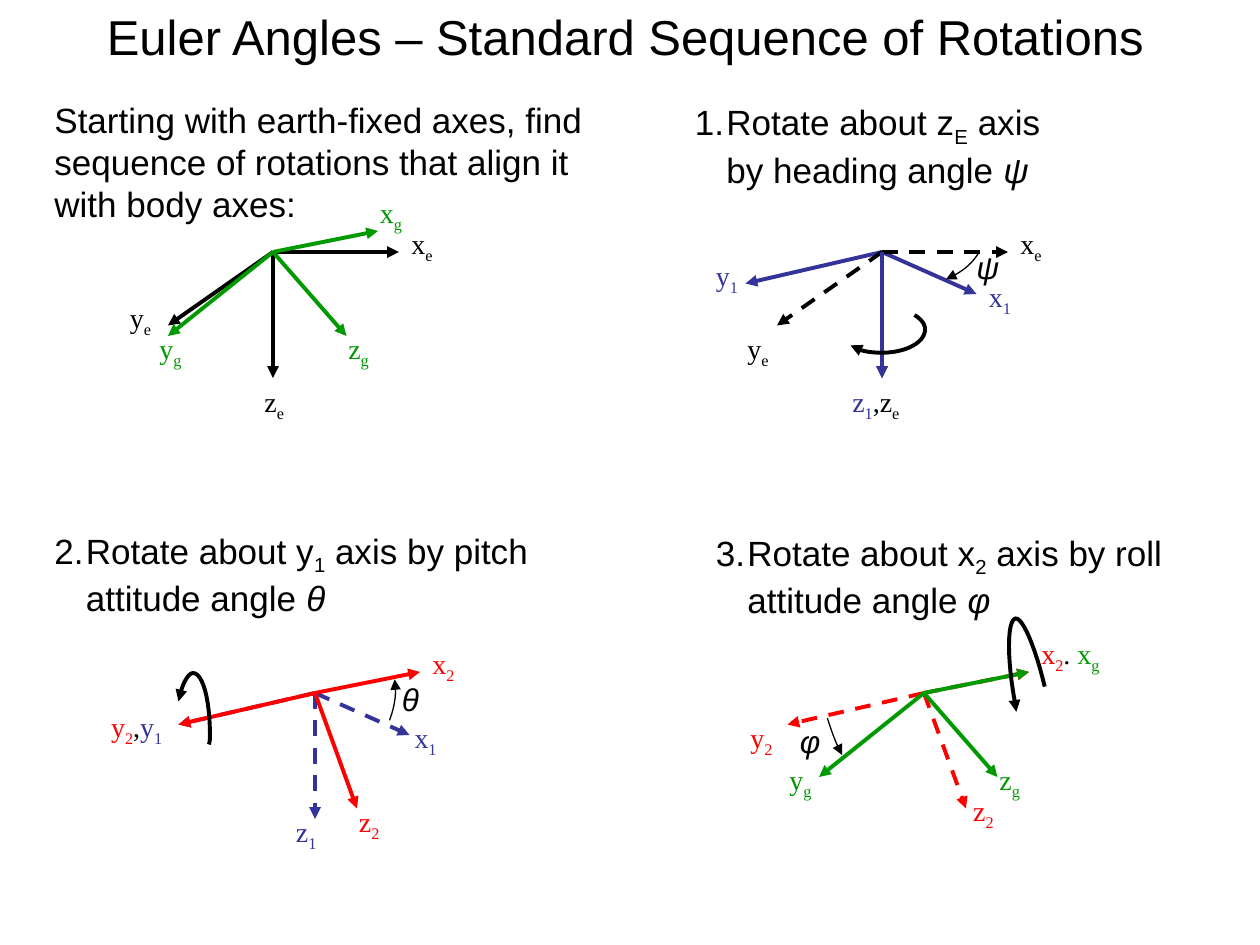
import pptx
import pptx.util
import pptx.dml.color
import pptx.enum.dml
import pptx.enum.text
import pptx.oxml.ns
import lxml.etree

COLS, ROWS = 120, 90
BLACK, BLUE, RED, GREEN = "000000", "333399", "FF0000", "009900"
SERIF, SANS = "Times New Roman", "Arial"
AXES = {
    "xe": (12, 0), "ye": (-10, 7), "ze": (0, 12),
    "x1": (9, 4), "y1": (-13, 3), "z1": (0, 12),
    "x2": (10, -2), "y2": (-13, 3), "z2": (4, 11),
    "xg": (10, -2), "yg": (-10, 8), "zg": (7, 8),
}
TINT = {"e": BLACK, "1": BLUE, "2": RED, "g": GREEN}

deck = pptx.Presentation()
deck.slide_width = pptx.util.Inches(10)
deck.slide_height = pptx.util.Inches(7.5)
slide = deck.slides.add_slide(deck.slide_layouts[6])


def across(cols):
    return round(deck.slide_width * cols / COLS)


def down(rows):
    return round(deck.slide_height * rows / ROWS)


def paint(target, code):
    target.rgb = pptx.dml.color.RGBColor.from_string(code)


def ink(shape, code, width, dash=False):
    line = shape.line
    line.fill.solid()
    paint(line.color, code)
    line.width = pptx.util.Pt(width)
    if dash:
        line.dash_style = pptx.enum.dml.MSO_LINE.DASH
    tag = pptx.oxml.ns.qn("a:tailEnd")
    lxml.etree.SubElement(line._get_or_add_ln(), tag, type="triangle")


def write(box, runs, size, font, wrap=False, hang=0):
    left, top, width, height = box
    shape = slide.shapes.add_textbox(across(left), down(top), across(width), down(height))
    frame = shape.text_frame
    frame.word_wrap = wrap
    frame.auto_size = pptx.enum.text.MSO_AUTO_SIZE.SHAPE_TO_FIT_TEXT
    para = frame.paragraphs[0]
    if hang:
        props = para._p.get_or_add_pPr()
        props.set("marL", str(across(hang)))
        props.set("indent", str(-across(hang)))
    for text, code, mode in runs:
        run = para.add_run()
        run.text = text
        run.font.size = pptx.util.Pt(size)
        run.font.name = font
        paint(run.font.color, code)
        if mode == "sub":
            run.font._element.set("baseline", "-25000")
        elif mode == "slant":
            run.font.italic = True


def axis(start, name, dash):
    x, y = start
    dx, dy = AXES[name]
    arrow = slide.shapes.add_connector(1, across(x), down(y), across(x + dx), down(y + dy))
    ink(arrow, TINT[name[1]], 2.25, dash)
    lxml.etree.SubElement(arrow._element.spPr, pptx.oxml.ns.qn("a:effectLst"))


def curve(start, knots, width, steps=12):
    dots = [knots[0]]
    for i in range(0, len(knots) - 1, 3):
        a, b, c, d = knots[i:i + 4]
        for k in range(1, steps + 1):
            t = k / steps
            u = 1 - t
            dots.append([u**3 * a[j] + 3 * u * u * t * b[j] + 3 * u * t * t * c[j] + t**3 * d[j]
                         for j in (0, 1)])
    spots = [(across(start[0] + x), down(start[1] + y)) for x, y in dots]
    maker = slide.shapes.build_freeform(*spots[0])
    maker.add_line_segments(spots[1:], close=False)
    shape = maker.convert_to_shape()
    shape.shadow.inherit = False
    shape.fill.background()
    ink(shape, BLACK, width)


def label(start, spot, names, gap="", width=4.6):
    runs = []
    for i, name in enumerate(names):
        code = TINT[name[1]]
        if i and gap:
            runs.append((gap[0], BLACK, ""))
        runs += [(gap[1:] * (i > 0) + name[0], code, ""), (name[1], code, "sub")]
    write((start[0] + spot[0], start[1] + spot[1], width, 4.4), runs, 16, SERIF)


def panel(start, head, text, axes, labels, angle=None, arcs=()):
    x, y = start
    dx, dy, width = head
    lead, *rest = text
    runs = [(lead, BLACK, "")]
    runs += [(part, BLACK, mode) for part, mode in zip(rest, ("sub", "", "slant"))]
    hang = 3 if rest else 0
    write((x + dx, y + dy, width, 9.2 if rest else 13.2), runs, 20, SANS, True, hang)
    for name, dash in axes:
        axis(start, name, dash)
    for item in labels:
        label(start, *item)
    for knots, weight in arcs:
        curve(start, knots, weight)
    if angle:
        sign, dx, dy = angle
        write((x + dx, y + dy, 4.4, 4.8), [(sign, BLACK, "slant")], 18, SANS)


def dashed(*names):
    return [(name, True) for name in names]


def solid(*names):
    return [(name, False) for name in names]


write((9, 0, 101.6, 6.8),
      [("Euler Angles – Standard Sequence of Rotations", BLACK, "")], 28, SANS)

panel((26, 24), (-22, -15.2, 57),
      ["Starting with earth-fixed axes, find sequence of rotations that align it with body axes:"],
      solid("xe", "ye", "ze", "xg", "zg", "yg"),
      [((12, -3), ["xe"]), ((-14.8, 4), ["ye"]), ((-2, 12), ["ze"]),
       ((9, -6), ["xg"]), ((-12, 7), ["yg"]), ((6, 7), ["zg"])])

panel((84, 24), (-19, -15, 38),
      ["1.\tRotate about z", "E", " axis by heading angle ", "ψ"],
      solid("x1", "y1") + dashed("xe", "ye", "ze") + solid("z1"),
      [((12, -3), ["xe"]), ((-14, 7), ["ye"]), ((9, 2), ["x1"]),
       ((-17, 0), ["y1"]), ((-4, 12), ["z1", "ze"], ",", 7.2)],
      ("ψ", 7.8, -1),
      [([(9.2, 0.1), (8.6, 1.1), (7.7, 1.9), (6.1, 2.6)], 0.75),
       ([(3.1, 6), (3.7, 6.4), (4.1, 6.8), (4.1, 7.4), (4.1, 8.6), (2.3, 9.6), (0, 9.6),
         (-1.2, 9.6), (-2.3, 9.4), (-3, 8.9)], 2.25)])

panel((30, 66), (-26, -16.2, 52),
      ["2.\tRotate about y", "1", " axis by pitch attitude angle ", "θ"],
      dashed("x1", "y1", "z1") + solid("x2", "z2", "y2"),
      [((10, -5), ["x2"]), ((8.3, 2), ["x1"]), ((3, 10), ["z2"]),
       ((-3, 11), ["z1"]), ((-20.6, 1), ["y2", "y1"], ",", 7.6)],
      ("θ", 7.1, -1.8),
      [([(7.1, 2.6), (7.6, 1.3), (7.8, 0), (7.6, -1.3)], 0.75),
       ([(-10.1, 4.9), (-10, 4.6), (-10, 4.2), (-10, 4), (-10, 0.6), (-10.7, -1.9),
         (-11.6, -1.9), (-12.1, -1.9), (-12.7, -0.8), (-13, 0.8)], 2.25)])

panel((88, 66), (-21, -16, 49),
      ["3.\tRotate about x", "2", " axis by roll attitude angle ", "φ"],
      dashed("x2", "z2", "y2") + solid("xg", "zg", "yg"),
      [((3.5, 9), ["z2"]), ((-17.7, 2), ["y2"]), ((10, -6), ["x2", "xg"], ". ", 8.3),
       ((-14, 6), ["yg"]), ((6, 6), ["zg"])],
      ("φ", -13, 2.2),
      [([(-9.2, 2.4), (-8.8, 3.6), (-8.4, 4.8), (-7.8, 5.9)], 0.75),
       ([(11.5, -0.6), (10.6, -4.4), (9.4, -7.2), (8.7, -7.1), (7.9, -6.8), (7.9, -3.2),
         (8.7, 1.1), (8.7, 1.3), (8.8, 1.6), (8.8, 1.8)], 2.25)])

deck.save("out.pptx")
